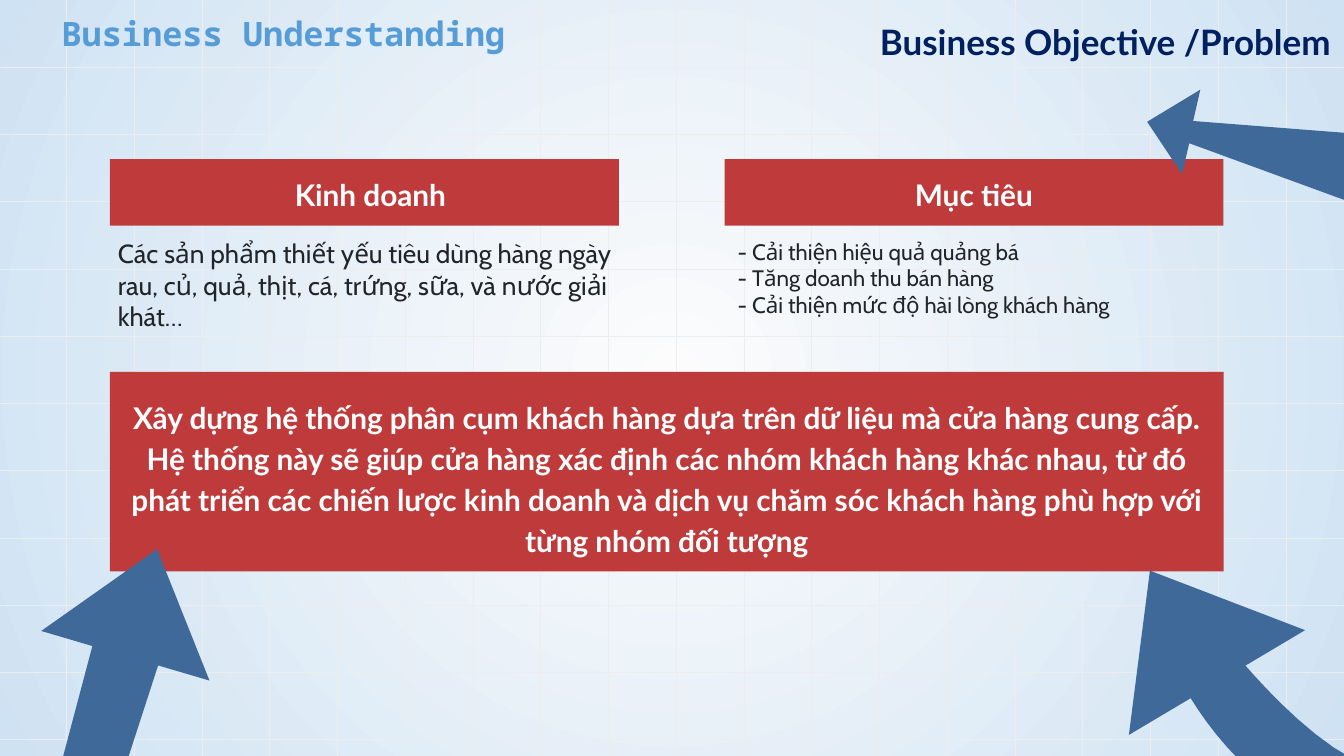
from dataclasses import dataclass

from lxml import etree
from pptx import Presentation
from pptx.dml.color import RGBColor as RGB
from pptx.enum.shapes import MSO_CONNECTOR as CONN, MSO_SHAPE as SHAPE
from pptx.enum.text import MSO_ANCHOR as ANCHOR, MSO_AUTO_SIZE as AUTO, PP_ALIGN as ALIGN
from pptx.oxml.ns import qn
from pptx.util import Cm, Pt


@dataclass(frozen=True)
class Theme:
    center: RGB = RGB.from_string("FCFCFC")
    edge: RGB = RGB.from_string("CFE2F3")
    grid: RGB = RGB.from_string("EDEDED")
    red: RGB = RGB.from_string("BF3B3B")
    arrow: RGB = RGB.from_string("3F6998")
    # font name, size, bold, colour
    title: tuple = ("Lato", 25, True, RGB.from_string("002060"))
    banner: tuple = ("Lato", 21.3, True, RGB.from_string("FFFFFF"))
    body: tuple = ("Cabin", 18.7, False, RGB.from_string("212529"))
    goals: tuple = ("Cabin", 16, False, RGB.from_string("212529"))
    section: tuple = ("Noto Sans Mono", 24, True, RGB.from_string("569CD6"))


T = Theme()


def write(tf, lines, style, align=ALIGN.LEFT, anchor=ANCHOR.TOP, spacing=1.0):
    name, size, bold, color = style
    tf.word_wrap = True
    tf.auto_size = AUTO.NONE
    tf.vertical_anchor = anchor
    tf.margin_left = tf.margin_right = tf.margin_top = tf.margin_bottom = Cm(0.33)
    for i, line in enumerate(lines):
        p = tf.add_paragraph() if i else tf.paragraphs[0]
        p.alignment = align
        p.line_spacing = spacing
        p.space_before = Pt(0)
        r = p.add_run()
        r.text = line
        r.font.name, r.font.size, r.font.bold = name, Pt(size), bold
        r.font.color.rgb = color


def bezier(p0, p1, p2, p3, steps=12):
    """Points along a cubic curve, without its start point."""
    points = []
    for i in range(1, steps + 1):
        t = i / steps
        weights = ((1 - t) ** 3, 3 * t * (1 - t) ** 2, 3 * t * t * (1 - t), t ** 3)
        points.append(tuple(sum(w * q[k] for w, q in zip(weights, (p0, p1, p2, p3)))
                            for k in (0, 1)))
    return points


prs = Presentation()
prs.slide_width, prs.slide_height = Cm(33.87), Cm(19.05)
s = prs.slides.add_slide(prs.slide_layouts[5])

# Radial background
fill = s.background.fill
fill.gradient()
for stop, color, position in zip(fill.gradient_stops, (T.center, T.edge), (0, 1)):
    stop.color.rgb = color
    stop.position = position
grad = s.element.find(".//" + qn("a:gradFill"))
grad.remove(grad.find(qn("a:lin")))
radial = etree.SubElement(grad, qn("a:path"), path="circle")
etree.SubElement(radial, qn("a:fillToRect"), l="50000", t="50000", r="50000", b="50000")

# Grid
rows = [1.7 + i * 16.94 / 10 for i in range(11)]
columns = [1.68 + i * 30.73 / 18 for i in range(19)]
grid = [(-0.03, y, 33.91, y) for y in rows] + [(x, 0, x, 19.28) for x in columns]
for ends in grid:
    line = s.shapes.add_connector(CONN.STRAIGHT, *map(Cm, ends))
    line.line.color.rgb = T.grid
    line.line.width = Pt(0.75)
    etree.SubElement(line.element.spPr, qn("a:effectLst"))

# Title, in front of the grid
title = s.shapes.title
s.shapes.element.append(title.element)
title.left, title.top, title.width, title.height = Cm(14.76), Cm(0.18), Cm(19.1), Cm(2.24)
write(title.text_frame, ["Business Objective /Problem"], T.title, ALIGN.RIGHT)

# Red banners: box, text, extra left margin
banners = [
    ((18.26, 4.01, 12.57, 1.68), "Mục tiêu", 0),
    ((2.77, 4.01, 12.83, 1.68), "Kinh doanh", 0.3),
    ((2.77, 9.37, 28.07, 5.03),
     "Xây dựng hệ thống phân cụm khách hàng dựa trên dữ liệu mà cửa hàng cung cấp. "
     "Hệ thống này sẽ giúp cửa hàng xác định các nhóm khách hàng khác nhau, từ đó "
     "phát triển các chiến lược kinh doanh và dịch vụ chăm sóc khách hàng phù hợp với "
     "từng nhóm đối tượng", 0),
]
for box, text, indent in banners:
    sp = s.shapes.add_shape(SHAPE.RECTANGLE, *map(Cm, box))
    sp.shadow.inherit = False
    sp.fill.solid()
    sp.fill.fore_color.rgb = T.red
    sp.line.fill.background()
    write(sp.text_frame, [text], T.banner, ALIGN.CENTER, ANCHOR.BOTTOM, 1.15)
    sp.text_frame.margin_left = Cm(0.33 + indent)

# Plain texts
texts = [
    ((18.26, 5.66, 12.57, 1.96), T.goals,
     ["- Cải thiện hiệu quả quảng bá",
      "- Tăng doanh thu bán hàng",
      "- Cải thiện mức độ hài lòng khách hàng"]),
    ((2.64, 5.66, 13.28, 3.45), T.body,
     ["Các sản phẩm thiết yếu tiêu dùng hàng ngày rau, củ, quả, thịt, cá, trứng, sữa, "
      "và nước giải khát…"]),
    ((1.22, 0, 28.58, 2.24), T.section, ["Business Understanding"]),
]
for box, style, lines in texts:
    write(s.shapes.add_textbox(*map(Cm, box)).text_frame, lines, style)

# Arrows
tail = [(31.14, 16.48)]
for curve in [
    ((31.14, 16.48), (33.88, 19.89), (35.38, 19.33)),
    ((35.46, 19.3), (35.56, 19.25), (35.64, 19.18)),
    ((35.81, 19.05), (35.94, 18.95), (35.99, 18.92)),
    ((36.32, 18.82), (35.48, 19.86), (34.37, 20.27)),
    ((33.91, 20.45), (33.38, 20.5), (32.89, 20.29)),
    ((30.99, 19.53), (29.82, 17.27), (29.82, 17.27)),
]:
    tail += bezier(tail[-1], *curve)

outlines = [
    [(28.98, 14.38), (32.89, 15.88), (28.45, 18.52)],
    tail,
    [(1.04, 15.9), (3.96, 13.84), (5.28, 17.15)],
    [(2.39, 16.05), (3.86, 14.15), (4.06, 16.54), (0.15, 28.58), (-0.86, 28.3)],
    [(28.91, 3.07), (29.79, 4.39), (29.97, 3.61), (35.74, 5.72),
     (36.22, 3.53), (30.07, 3.05), (30.25, 2.26)],
]
for outline in outlines:
    start, *rest = [(Cm(x), Cm(y)) for x, y in outline]
    builder = s.shapes.build_freeform(*start)
    builder.add_line_segments(rest, close=True)
    sp = builder.convert_to_shape()
    sp.shadow.inherit = False
    sp.fill.solid()
    sp.fill.fore_color.rgb = T.arrow
    sp.line.fill.background()

prs.save("out.pptx")
